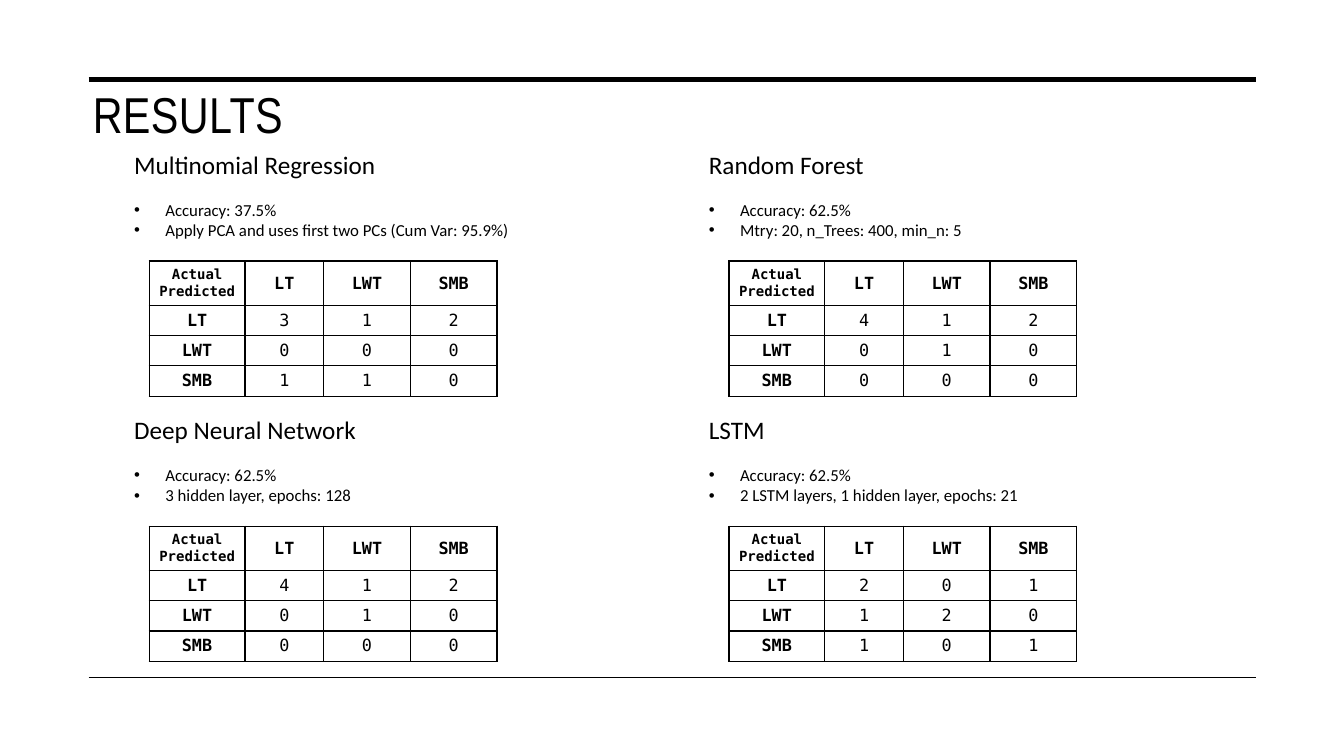
"""Build the results slide: four models, each with notes and a confusion table."""
from lxml.etree import SubElement as Sub
from pptx import Presentation
from pptx.dml.color import RGBColor
from pptx.enum.shapes import MSO_CONNECTOR as Link
from pptx.enum.text import MSO_ANCHOR as Anchor, MSO_AUTO_SIZE as Fit, PP_ALIGN as Align
from pptx.oxml.ns import qn
from pptx.util import Inches as In, Pt

TITLE = "RESULTS"
LABELS = ["LT", "LWT", "SMB"]
CORNER = "Actual\nPredicted"
MODELS = [
    ("Multinomial Regression",
     ["Accuracy: 37.5%", "Apply PCA and uses first two PCs (Cum Var: 95.9%)"],
     [(3, 1, 2), (0, 0, 0), (1, 1, 0)]),
    ("Random Forest",
     ["Accuracy: 62.5%", "Mtry: 20, n_Trees: 400, min_n: 5"],
     [(4, 1, 2), (0, 1, 0), (0, 0, 0)]),
    ("Deep Neural Network",
     ["Accuracy: 62.5%", "3 hidden layer, epochs: 128"],
     [(4, 1, 2), (0, 1, 0), (0, 0, 0)]),
    ("LSTM",
     ["Accuracy: 62.5%", "2 LSTM layers, 1 hidden layer, epochs: 21"],
     [(2, 0, 1), (1, 2, 0), (1, 0, 1)]),
]
INK = "000000"
HEAD, BODY, MONO = "Arial Narrow", "Calibri", "DejaVu Sans Mono"
WIDTHS, HEIGHTS = [0.95, 0.78, 0.86, 0.86], [0.44, 0.3, 0.3, 0.3]
TEXT_X, TABLE_X = [1.23, 6.93], [1.48, 7.23]
TEXT_Y, TABLE_Y, PITCH = 1.43, 2.59, 2.63
RULES = [(0.79, 3.5), (6.72, 1)]
LEFT, RIGHT = 0.88, 12.46


def color(code):
    return RGBColor.from_string(code)


def style(para, face, size, bold=False, align=Align.LEFT):
    para.alignment = align
    font = para.font
    font.name, font.size, font.bold = face, Pt(size), bold
    font.color.rgb = color(INK)


def place(shape, x, y, w, h):
    shape.left, shape.top, shape.width, shape.height = In(x), In(y), In(w), In(h)
    frame = shape.text_frame
    frame.word_wrap, frame.auto_size = True, Fit.NONE
    frame.vertical_anchor = Anchor.TOP
    return frame


def bullet(para, mark):
    props = para._p.get_or_add_pPr()
    dent = In(0.31) if mark else 0
    props.set("marL", str(dent))
    props.set("indent", str(-dent))
    if mark:
        Sub(props, qn("a:buFont"), typeface="Arial")
        Sub(props, qn("a:buChar"), char="•")
    else:
        Sub(props, qn("a:buNone"))


def add_notes(shape, x, y, name, notes):
    frame = place(shape, x, y, 4.47, 1.01)
    frame.text = "\n".join([name, *notes])
    for row, para in enumerate(frame.paragraphs):
        bullet(para, row > 0)
        para.space_before = Pt(14.65 if row == 1 else 0)
        style(para, BODY, 12 if row else 18)


def border(cell):
    props = cell._tc.get_or_add_tcPr()
    for side in "LRTB":
        line = Sub(props, qn(f"a:ln{side}"), w=str(Pt(1)))
        fill = Sub(line, qn("a:solidFill"))
        Sub(fill, qn("a:srgbClr"), val=INK)
    cell.fill.background()


def add_matrix(slide, x, y, counts):
    grid = [[CORNER, *LABELS]] + [[n, *row] for n, row in zip(LABELS, counts)]
    table = slide.shapes.add_table(len(grid), len(WIDTHS), In(x), In(y),
                                   In(sum(WIDTHS)), In(sum(HEIGHTS))).table
    for col, width in zip(table.columns, WIDTHS):
        col.width = In(width)
    for row, height in zip(table.rows, HEIGHTS):
        row.height = In(height)
    for r, row in enumerate(grid):
        for c, value in enumerate(row):
            cell = table.cell(r, c)
            cell.text = str(value)
            cell.vertical_anchor = Anchor.MIDDLE
            cell.margin_left = cell.margin_right = In(0.05)
            cell.margin_top = cell.margin_bottom = In(0.04)
            border(cell)
            for para in cell.text_frame.paragraphs:
                style(para, MONO, 10 if value == CORNER else 12,
                      r == 0 or c == 0, Align.CENTER)


def add_rule(slide, y, weight):
    rule = slide.shapes.add_connector(Link.STRAIGHT, In(LEFT), In(y), In(RIGHT), In(y))
    rule.line.color.rgb, rule.line.width = color(INK), Pt(weight)
    Sub(rule._element.spPr, qn("a:effectLst"))


def main():
    deck = Presentation()
    deck.slide_width, deck.slide_height = In(13.33), In(7.5)
    slide = deck.slides.add_slide(deck.slide_layouts.get_by_name("Comparison"))
    for y, weight in RULES:
        add_rule(slide, y, weight)
    title, *bodies = slide.placeholders
    frame = place(title, 0.82, 0.77, 11.69, 0.54)
    frame.text = TITLE
    para = frame.paragraphs[0]
    style(para, HEAD, 36)
    para.runs[0]._r.get_or_add_rPr().set("spc", "30")
    for k, (body, (name, notes, counts)) in enumerate(zip(bodies, MODELS)):
        row, col = divmod(k, 2)
        add_notes(body, TEXT_X[col], TEXT_Y + row * PITCH, name, notes)
        add_matrix(slide, TABLE_X[col], TABLE_Y + row * PITCH, counts)
    deck.save("out.pptx")


if __name__ == "__main__":
    main()
